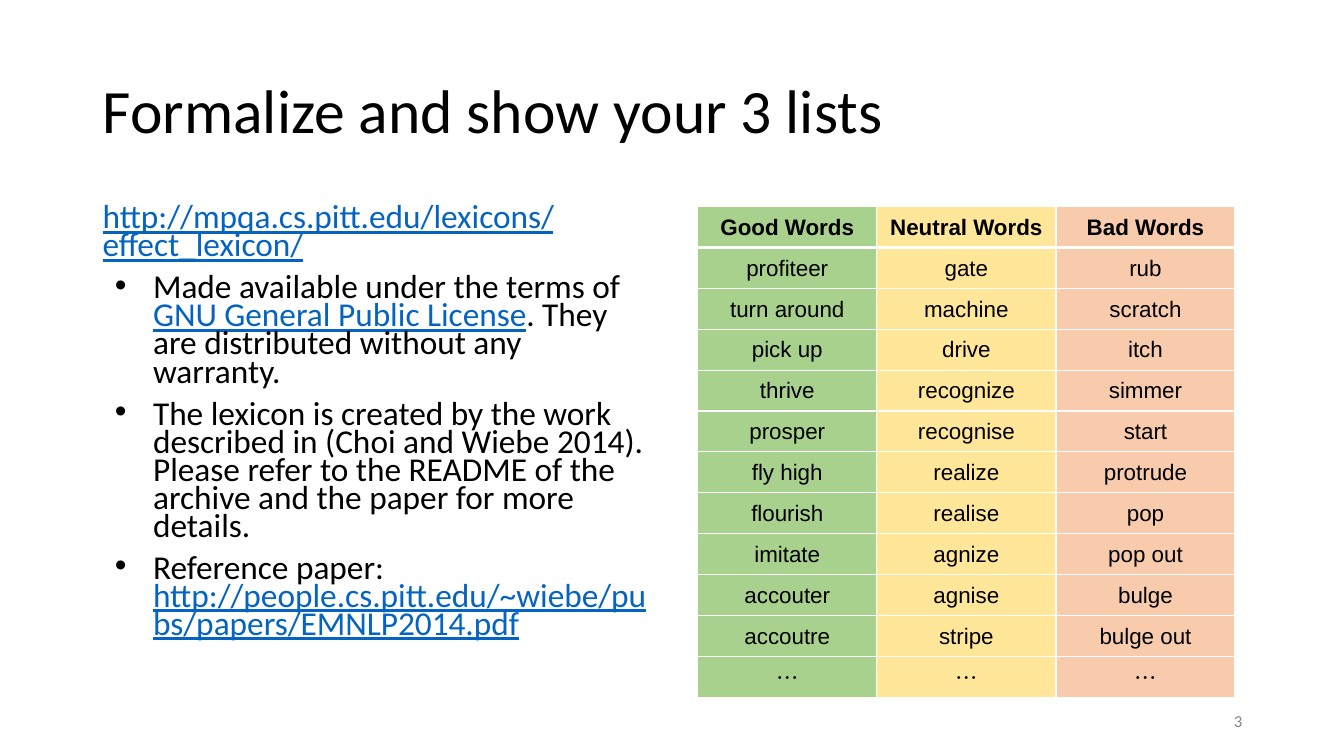
from lxml import etree
from pptx import Presentation
from pptx import util as u
from pptx.dml.color import RGBColor
from pptx.enum import text
from pptx.oxml import ns

COLORS = {"ink": "000000", "link": "0563C1", "muted": "888888", "border": "FFFFFF",
          "good": "A9D18E", "neutral": "FFE699", "bad": "F8CBAD"}

# Each paragraph is a list of (words, is_link)
SOURCE_LINK = [("http://mpqa.cs.pitt.edu/lexicons/effect_lexicon/", True)]
SOURCE_NOTES = [
    [("Made available under the terms of ", False),
     ("GNU General Public License", True),
     (". They are distributed without any warranty.", False)],
    [("The lexicon is created by the work described in (Choi and Wiebe 2014). "
      "Please refer to the README of the archive and the paper for more details.", False)],
    [("Reference paper: ", False),
     ("http://people.cs.pitt.edu/~wiebe/pubs/papers/EMNLP2014.pdf", True)],
]

WORD_LISTS = [
    ("Good Words", "good", ["profiteer", "turn around", "pick up", "thrive", "prosper",
                            "fly high", "flourish", "imitate", "accouter", "accoutre", "…"]),
    ("Neutral Words", "neutral", ["gate", "machine", "drive", "recognize", "recognise",
                                  "realize", "realise", "agnize", "agnise", "stripe", "…"]),
    ("Bad Words", "bad", ["rub", "scratch", "itch", "simmer", "start", "protrude",
                          "pop", "pop out", "bulge", "bulge out", "…"]),
]


def rgb(name):
    return RGBColor.from_string(COLORS[name])


def style(run, size, font="Calibri", color="ink"):
    run.font.size = u.Pt(size)
    run.font.name = font
    run.font.color.rgb = rgb(color)


def add_bullet(paragraph):
    props = paragraph._p.get_or_add_pPr()
    props.set("marL", str(u.Inches(0.5)))
    props.set("indent", str(u.Inches(-0.38)))
    etree.SubElement(props, ns.qn("a:buFont"), typeface="Arial")
    etree.SubElement(props, ns.qn("a:buChar"), char="•")


def add_border(cell, side, width):
    line = etree.SubElement(cell._tc.get_or_add_tcPr(), ns.qn("a:ln" + side),
                            w=str(u.Pt(width)))
    fill = etree.SubElement(line, ns.qn("a:solidFill"))
    etree.SubElement(fill, ns.qn("a:srgbClr"), val=COLORS["border"])


def place_title(slide, left, top, width, height):
    title = slide.shapes.title
    title.left, title.top = u.Inches(left), u.Inches(top)
    title.width, title.height = u.Inches(width), u.Inches(height)
    frame = title.text_frame
    frame.text = "Formalize and show your 3 lists"
    frame.auto_size = text.MSO_AUTO_SIZE.NONE
    frame.vertical_anchor = text.MSO_ANCHOR.MIDDLE
    heading = frame.paragraphs[0]
    heading.alignment = text.PP_ALIGN.LEFT
    heading.line_spacing = 0.9
    style(heading.runs[0], 44)


def add_sources(slide, left, top, width, height):
    box = slide.shapes.add_textbox(*map(u.Inches, (left, top, width, height)))
    frame = box.text_frame
    frame.word_wrap = True
    for i, pieces in enumerate([SOURCE_LINK] + SOURCE_NOTES):
        paragraph = frame.add_paragraph() if i else frame.paragraphs[0]
        paragraph.line_spacing = 0.7
        paragraph.space_before = u.Pt(10)
        if i:
            add_bullet(paragraph)
        for words, is_link in pieces:
            run = paragraph.add_run()
            run.text = words
            style(run, 23.8, color="link" if is_link else "ink")
            run.font.underline = is_link


def fill_word(cell, word, color, row):
    cell.margin_left = cell.margin_top = cell.margin_right = u.Inches(0.01)
    cell.margin_bottom = 0
    cell.vertical_anchor = text.MSO_ANCHOR.MIDDLE
    for side in "LRTB":
        header_edge = (row, side) in ((0, "B"), (1, "T"))
        add_border(cell, side, 3 if header_edge else 1)
    cell.fill.solid()
    cell.fill.fore_color.rgb = rgb(color)

    cell.text_frame.text = word
    paragraph = cell.text_frame.paragraphs[0]
    paragraph.alignment = text.PP_ALIGN.CENTER
    run = paragraph.runs[0]
    font = "Noto Sans CJK SC" if word == "…" else "Arial"
    style(run, 16, font)
    run.font.bold = row == 0
    etree.SubElement(run._r.get_or_add_rPr(), ns.qn("a:ea"), typeface=font)


def add_word_table(slide, left, top, width, height):
    row_count = 1 + len(WORD_LISTS[0][2])
    words_table = slide.shapes.add_table(
        row_count, len(WORD_LISTS), *map(u.Inches, (left, top, width, height))).table
    for table_row in words_table.rows:
        table_row.height = u.Inches(height / row_count)
    for col, (heading, color, words) in enumerate(WORD_LISTS):
        words_table.columns[col].width = u.Inches(width / len(WORD_LISTS))
        for row, word in enumerate([heading] + words):
            fill_word(words_table.cell(row, col), word, color, row)


def add_page_number(slide, left, top, width, height):
    box = slide.shapes.add_textbox(*map(u.Inches, (left, top, width, height)))
    frame = box.text_frame
    frame.word_wrap = True
    frame.vertical_anchor = text.MSO_ANCHOR.MIDDLE
    frame.text = "3"
    frame.paragraphs[0].alignment = text.PP_ALIGN.RIGHT
    style(frame.paragraphs[0].runs[0], 12, color="muted")


def main():
    deck = Presentation()
    deck.slide_width, deck.slide_height = u.Inches(13.33), u.Inches(7.5)
    slide = deck.slides.add_slide(deck.slide_layouts.get_by_name("Title Only"))
    place_title(slide, 0.92, 0.4, 11.5, 1.45)
    add_sources(slide, 0.92, 2, 5.67, 4.76)
    add_word_table(slide, 6.92, 2.05, 5.33, 4.87)
    add_page_number(slide, 9.42, 6.95, 3, 0.4)
    deck.save("out.pptx")


if __name__ == "__main__":
    main()
